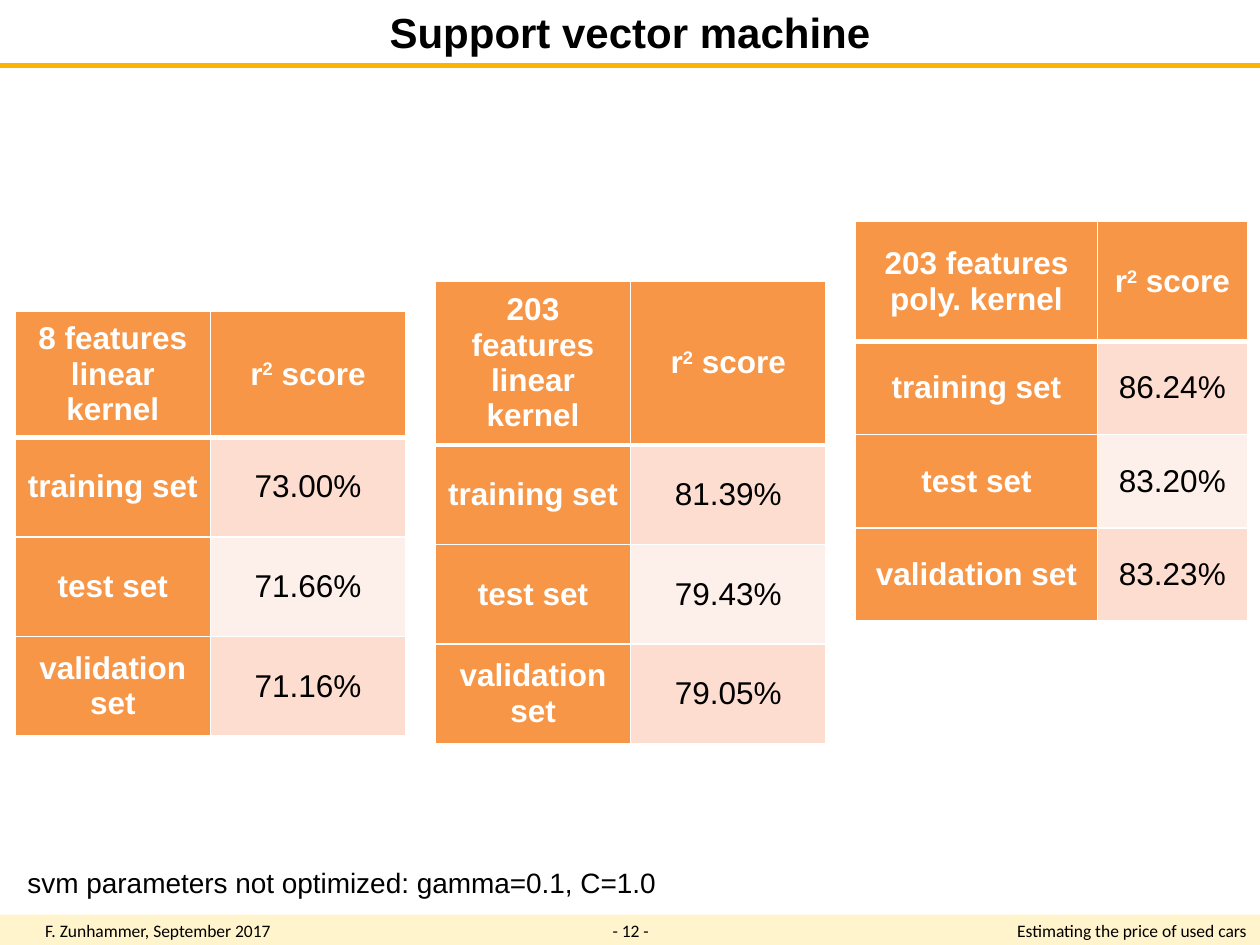
"""Build the support vector machine slide with its three score tables."""
from lxml import etree
from pptx import Presentation
from pptx.dml.color import RGBColor
from pptx.enum.shapes import MSO_CONNECTOR, MSO_SHAPE
from pptx.enum.text import MSO_ANCHOR, MSO_AUTO_SIZE, PP_ALIGN
from pptx.oxml.ns import qn
from pptx.util import Inches, Pt

LEFT, CENTER, RIGHT = PP_ALIGN.LEFT, PP_ALIGN.CENTER, PP_ALIGN.RIGHT
MIDDLE = MSO_ANCHOR.MIDDLE
GROW, FIXED = MSO_AUTO_SIZE.SHAPE_TO_FIT_TEXT, MSO_AUTO_SIZE.NONE
RECTANGLE, STRAIGHT = MSO_SHAPE.RECTANGLE, MSO_CONNECTOR.STRAIGHT

BLACK = RGBColor(0x00, 0x00, 0x00)
WHITE = RGBColor(0xFF, 0xFF, 0xFF)
YELLOW = RGBColor(0xFF, 0xCC, 0x00)
AMBER = RGBColor(0xFB, 0xB4, 0x03)
ORANGE = RGBColor(0xF7, 0x96, 0x46)
PEACH = RGBColor(0xFC, 0xDD, 0xCF)
PALE_PEACH = RGBColor(0xFD, 0xEF, 0xE9)

prs = Presentation()
prs.slide_width, prs.slide_height = Inches(10), Inches(7.5)
slide = prs.slides.add_slide(prs.slide_layouts[5])
shapes = slide.shapes


def style(paragraph, size, color, bold=False, align=LEFT, font="Arial"):
    paragraph.alignment = align
    for run in paragraph.runs:
        run.font.name, run.font.size = font, Pt(size)
        run.font.bold, run.font.color.rgb = bold, color


def add_border(cell, side, width):
    line = etree.SubElement(cell._tc.get_or_add_tcPr(), qn(f"a:ln{side}"), w=str(Pt(width)))
    fill = etree.SubElement(line, qn("a:solidFill"))
    etree.SubElement(fill, qn("a:srgbClr"), val=str(WHITE))


footer_band = shapes.add_shape(RECTANGLE, 0, Inches(7.26), prs.slide_width, Inches(0.25))
footer_band.shadow.inherit = False
footer_band.fill.solid()
footer_band.fill.fore_color.rgb = YELLOW
footer_band.line.fill.background()
band_color = footer_band._element.spPr.find(".//" + qn("a:srgbClr"))
etree.SubElement(band_color, qn("a:alpha"), val="20000")

title_rule = shapes.add_connector(STRAIGHT, 0, Inches(0.52), prs.slide_width, Inches(0.52))
title_rule.line.color.rgb = AMBER
title_rule.line.width = Pt(3)
etree.SubElement(title_rule._element.spPr, qn("a:effectLst"))

title = shapes.title
title.left, title.top, title.width, title.height = Inches(1.45), 0, Inches(7.1), Inches(0.5)
title.text_frame.text = "Support vector machine"
title.text_frame.auto_size = FIXED
title.text_frame.vertical_anchor = MIDDLE
style(title.text_frame.paragraphs[0], 24, BLACK, True, CENTER)

captions = [
    ("F. Zunhammer, September 2017", 0.26, 7.25, 2.85, 0.27, 10, LEFT, "Calibri"),
    ("- 12 -", 4.68, 7.25, 0.65, 0.27, 10, CENTER, "Calibri"),
    ("Estimating the price of used cars", 7.14, 7.25, 2.85, 0.27, 10, RIGHT, "Calibri"),
    ("svm parameters not optimized: gamma=0.1, C=1.0", 0.12, 6.82, 6.73, 0.37, 16, LEFT, "Arial"),
]
for text, left, top, width, height, size, align, font in captions:
    frame = shapes.add_textbox(Inches(left), Inches(top), Inches(width), Inches(height)).text_frame
    frame.word_wrap = True
    frame.auto_size = GROW
    frame.text = text
    style(frame.paragraphs[0], size, BLACK, align=align, font=font)

data_sets = ["training set", "test set", "validation set"]
models = [
    ("8 features\nlinear kernel", 2.47, (1.55, 1.55), (0.79, 0.79), ["73.00%", "71.66%", "71.16%"]),
    ("203 features\nlinear kernel", 2.23, (1.55, 1.55), (0.79, 0.79), ["81.39%", "79.43%", "79.05%"]),
    ("203 features\npoly. kernel", 1.76, (1.92, 1.19), (0.95, 0.74), ["86.24%", "83.20%", "83.23%"]),
]
for position, (model, top, widths, (head_height, row_height), scores) in enumerate(models):
    left = 0.12 + position * 3.335
    height = head_height + 3 * row_height
    table = shapes.add_table(4, 2, Inches(left), Inches(top), Inches(sum(widths)), Inches(height)).table
    for column, width in zip(table.columns, widths):
        column.width = Inches(width)
    for row, row_size in zip(table.rows, [head_height] + [row_height] * 3):
        row.height = Inches(row_size)

    contents = [(model, "r2 score"), *zip(data_sets, scores)]
    for r, row_texts in enumerate(contents):
        for c, text in enumerate(row_texts):
            cell = table.cell(r, c)
            is_score = r > 0 and c == 1
            for side, width in zip("LRTB", (1, 1, 3 if r == 1 else 1, 3 if r == 0 else 1)):
                add_border(cell, side, width)
            cell.fill.solid()
            band = PEACH if r % 2 else PALE_PEACH
            cell.fill.fore_color.rgb = band if is_score else ORANGE
            cell.vertical_anchor = MIDDLE
            cell.text_frame.text = text
            if (r, c) == (0, 1):
                heading = cell.text_frame.paragraphs[0]
                heading.text = "r"
                exponent = heading.add_run()
                exponent.text = "2"
                exponent._r.get_or_add_rPr().set("baseline", "30000")
                heading.add_run().text = " score"
            for paragraph in cell.text_frame.paragraphs:
                style(paragraph, 18, BLACK if is_score else WHITE, not is_score, CENTER)

prs.save("out.pptx")
